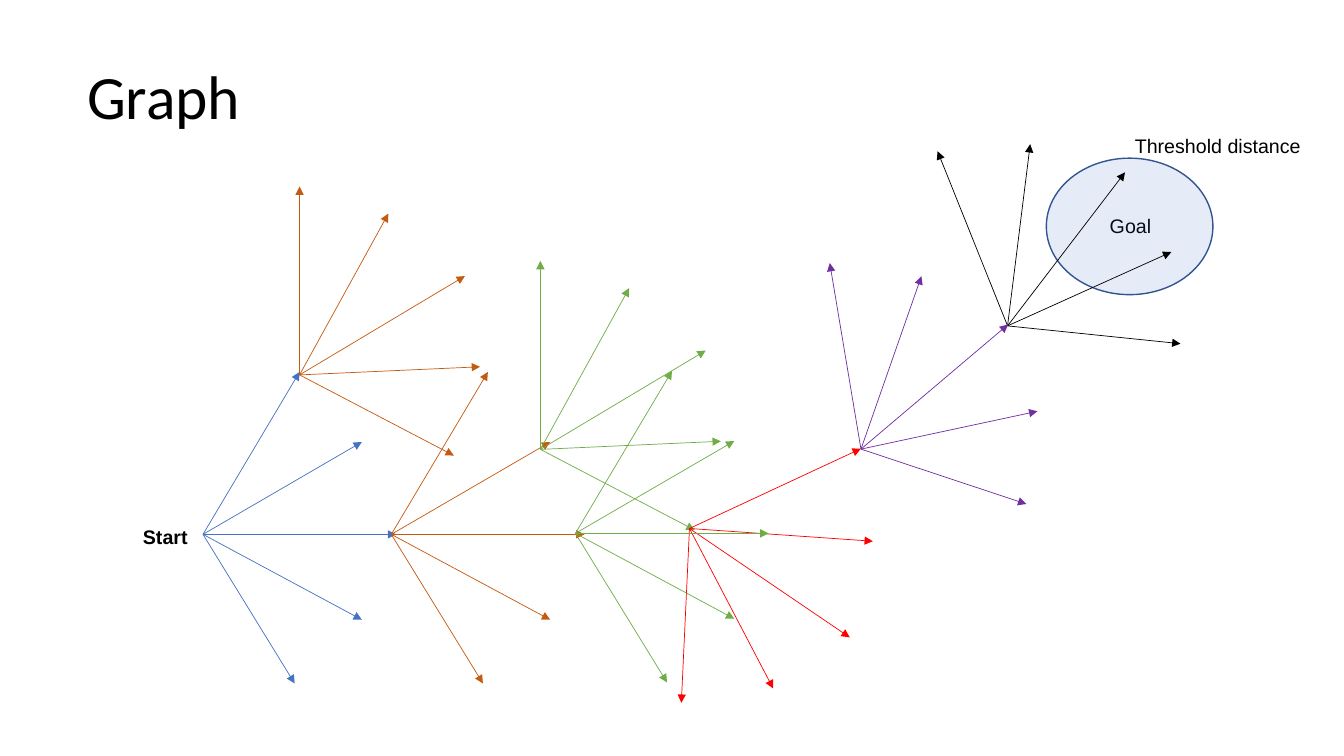
from dataclasses import dataclass
from lxml.etree import SubElement
from pptx import Presentation
from pptx.dml.color import RGBColor as Rgb
from pptx.enum.shapes import MSO_CONNECTOR as Conn, MSO_SHAPE as Form
from pptx.enum.text import MSO_ANCHOR as Anchor, MSO_AUTO_SIZE as Auto, PP_ALIGN as Align
from pptx.oxml.ns import qn
from pptx.util import Pt


@dataclass(frozen=True)
class Theme:
    """Colours, fonts and sizes of the slide."""
    black: str = "000000"
    blue: str = "4472C4"
    rust: str = "C55A11"
    green: str = "70AD47"
    red: str = "FF0000"
    plum: str = "7030A0"
    edge: str = "325491"
    head: str = "Calibri"
    body: str = "Arial"
    big: float = 44
    small: float = 14
    thin: float = 0.5
    rim: float = 1
    tint: int = 13


look = Theme()

# Ray ends of each fan, relative to its hub
FLAT = [(113.5, -66), (69, -116), (113.5, 61), (65.5, 106.5), (138, 0)]
TALL = [(63.4, -115.2), (0, -134.6), (128.9, -5.8), (110.2, 57.6), (118.1, -70.6)]
LOW = [(131, 9.1), (122.4, -57), (59.8, 114.3), (-5.8, 124.5), (114.5, 77.8)]
NEAR = [(16.2, -129.8), (-50, -124.8), (117, -52.8), (123.5, 12.7), (83.9, -109.7)]
RISE = [(43.2, -123.5), (-22.3, -132.9), (126, -27), (118.1, 39.2), (105.1, -89)]

# Hub, rays and colour of each fan, from back to front
TREE = [
    ((145, 381.7), FLAT, look.blue),
    ((279.5, 381.7), FLAT, look.rust),
    ((386, 321), TALL, look.green),
    ((214, 267.8), TALL, look.rust),
    ((492.5, 377.5), LOW, look.red),
    ((411, 381), FLAT, look.green),
]
LAST = [
    ((719.7, 232.8), NEAR, look.black),
    ((615, 320.8), RISE, look.plum),
]


def apply(part, form):
    """Set each attribute named in form on part."""
    for name, value in form.items():
        setattr(part, name, value)


def place(shape, box):
    """Move and size a shape to a box in points."""
    sides = ("left", "top", "width", "height")
    apply(shape, dict(zip(sides, map(Pt, box))))


def write(frame, text, face, size, bold=False):
    """Put one left-aligned line of text in a frame."""
    frame.text = text
    line = frame.paragraphs[0]
    line.alignment = Align.LEFT
    font = line.runs[0].font
    apply(font, {"name": face, "size": Pt(size), "bold": bold})
    font.color.rgb = Rgb.from_string(look.black)
    return line


def title(slide, box, text):
    """Fill the title placeholder."""
    shape = slide.shapes.title
    place(shape, box)
    line = write(shape.text_frame, text, look.head, look.big)
    line.line_spacing = 0.9
    apply(shape.text_frame, {"vertical_anchor": Anchor.MIDDLE, "word_wrap": True})


def label(slide, box, text, bold=False, wrap=True):
    """Add a small text label."""
    frame = slide.shapes.add_textbox(*map(Pt, box)).text_frame
    apply(frame, {"word_wrap": wrap, "auto_size": Auto.SHAPE_TO_FIT_TEXT})
    write(frame, text, look.body, look.small, bold)


def arrow(group, start, end, color):
    """Add a thin arrow between two points."""
    link = group.shapes.add_connector(Conn.STRAIGHT, *map(Pt, start + end))
    apply(link.line, {"width": Pt(look.thin)})
    link.line.color.rgb = Rgb.from_string(color)
    SubElement(link.line._get_or_add_ln(), qn("a:tailEnd"), type="triangle")
    SubElement(link._element.spPr, qn("a:effectLst"))


def fan(slide, hub, rays, color):
    """Group the arrows that leave one hub."""
    group = slide.shapes.add_group_shape()
    x, y = hub
    for dx, dy in rays:
        arrow(group, hub, (x + dx, y + dy), color)


def goal(slide, box):
    """Draw the goal label under its tinted threshold ellipse."""
    x, y, wide, high = box
    label(slide, (x + 38.2, y + 36, 60, 24.5), "Goal")
    ring = slide.shapes.add_shape(Form.OVAL, *map(Pt, box))
    ring.shadow.inherit = False
    ring.fill.solid()
    ring.fill.fore_color.rgb = Rgb.from_string(look.blue)
    tone = ring._element.spPr.find(qn("a:solidFill"))[0]
    SubElement(tone, qn("a:alpha"), val=str(look.tint * 1000))
    ring.line.width = Pt(look.rim)
    ring.line.color.rgb = Rgb.from_string(look.edge)


def graph(slide):
    """Build the search graph from start to goal."""
    for part in TREE:
        fan(slide, *part)
    label(slide, (95, 371.5, 60, 24.5), "Start", bold=True)
    goal(slide, (747.4, 113, 119, 97.5))
    for part in LAST:
        fan(slide, *part)
    label(slide, (803.5, 92, 134, 24.5), "Threshold distance", wrap=False)


def main():
    """Make and save the deck."""
    deck = Presentation()
    apply(deck, {"slide_width": Pt(960), "slide_height": Pt(540)})
    slide = deck.slides.add_slide(deck.slide_layouts[5])
    title(slide, (55, 19, 828, 104.4), "Graph")
    graph(slide)
    deck.save("out.pptx")


main()
